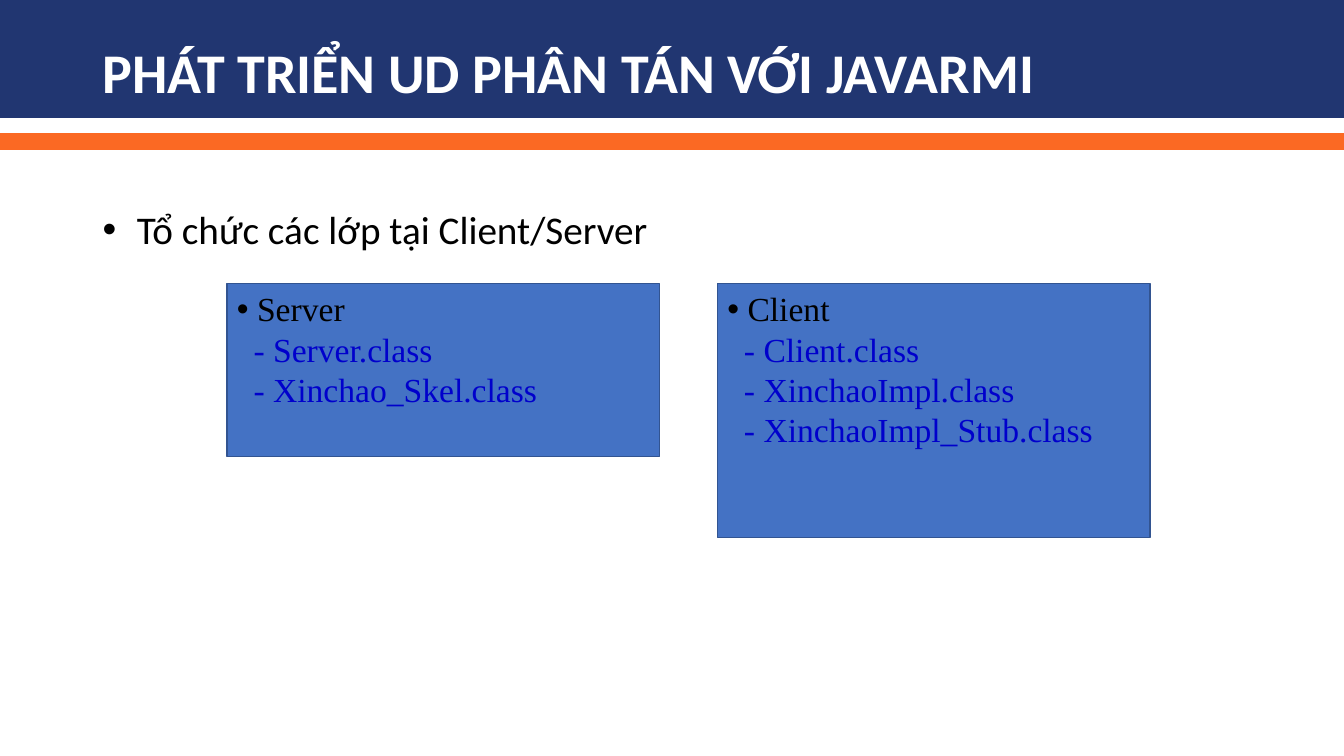
from lxml import etree
from pptx import Presentation
from pptx.dml.color import RGBColor
from pptx.enum import shapes, text
from pptx.oxml import ns
from pptx.util import Cm, Pt

COLORS = {
    "navy": "213671",
    "orange": "FB6923",
    "blue": "4472C4",
    "outline": "325491",
    "code": "0000CC",
    "black": "000000",
    "white": "FFFFFF",
}
PAGE_WIDTH = 33.87
PAGE_HEIGHT = 19.05
MARGIN = 2.34
BODY_WIDTH = 29.21
CLASS_TOP = 7.14
CLASS_WIDTH = 10.9


def color(name):
    return RGBColor.from_string(COLORS[name])


def add_rectangle(page, left, top, width, height, fill, line):
    box = page.shapes.add_shape(
        shapes.MSO_SHAPE.RECTANGLE, Cm(left), Cm(top), Cm(width), Cm(height)
    )
    box.shadow.inherit = False
    box.fill.solid()
    box.fill.fore_color.rgb = color(fill)
    box.line.color.rgb = color(line)
    box.line.width = Pt(1)
    return box


def add_text_box(page, top, height, anchor):
    box = page.shapes.add_textbox(Cm(MARGIN), Cm(top), Cm(BODY_WIDTH), Cm(height))
    box.text_frame.word_wrap = True
    box.text_frame.vertical_anchor = anchor
    return box.text_frame.paragraphs[0]


def set_indent(para, left, bullet=False):
    props = para._p.get_or_add_pPr()
    props.set("marL", str(Cm(left)))
    props.set("indent", str(-Cm(left) if bullet else 0))
    if bullet:
        etree.SubElement(props, ns.qn("a:buFont")).set("typeface", "Arial")
        etree.SubElement(props, ns.qn("a:buChar")).set("char", "•")


def write(para, words, font, size, ink, bold=False):
    para.text = words
    para.font.name = font
    para.font.size = Pt(size)
    para.font.color.rgb = color(ink)
    para.font.bold = bold


def add_class_box(page, left, height, side, classes):
    box = add_rectangle(page, left, CLASS_TOP, CLASS_WIDTH, height, "blue", "outline")
    frame = box.text_frame
    frame.word_wrap = True
    frame.vertical_anchor = text.MSO_ANCHOR.TOP
    heading = frame.paragraphs[0]
    heading.alignment = text.PP_ALIGN.LEFT
    set_indent(heading, 0.51, bullet=True)
    write(heading, side, "Times New Roman", 24, "black")
    for name in classes:
        para = frame.add_paragraph()
        para.alignment = text.PP_ALIGN.LEFT
        set_indent(para, 0.42)
        write(para, f"- {name}.class", "Times New Roman", 24, "code")


def main():
    deck = Presentation()
    deck.slide_width = Cm(PAGE_WIDTH)
    deck.slide_height = Cm(PAGE_HEIGHT)
    page = deck.slides.add_slide(deck.slide_layouts[6])

    add_rectangle(page, 0, 0, PAGE_WIDTH, 2.97, "navy", "navy")
    add_rectangle(page, 0, 3.38, PAGE_WIDTH, 0.38, "orange", "orange")

    add_class_box(page, 5.72, 4.37, "Server", ["Server", "Xinchao_Skel"])
    add_class_box(
        page, 18.08, 6.4, "Client", ["Client", "XinchaoImpl", "XinchaoImpl_Stub"]
    )

    title = add_text_box(page, 0.97, 1.88, text.MSO_ANCHOR.MIDDLE)
    title.line_spacing = 0.9
    write(title, "PHÁT TRIỂN UD PHÂN TÁN VỚI JAVARMI", "Calibri", 40, "white", True)

    topic = add_text_box(page, 5.18, 12.73, text.MSO_ANCHOR.TOP)
    topic.line_spacing = 0.9
    set_indent(topic, 0.86, bullet=True)
    write(topic, "Tổ chức các lớp tại Client/Server", "Calibri", 28, "black")

    deck.save("out.pptx")


if __name__ == "__main__":
    main()
